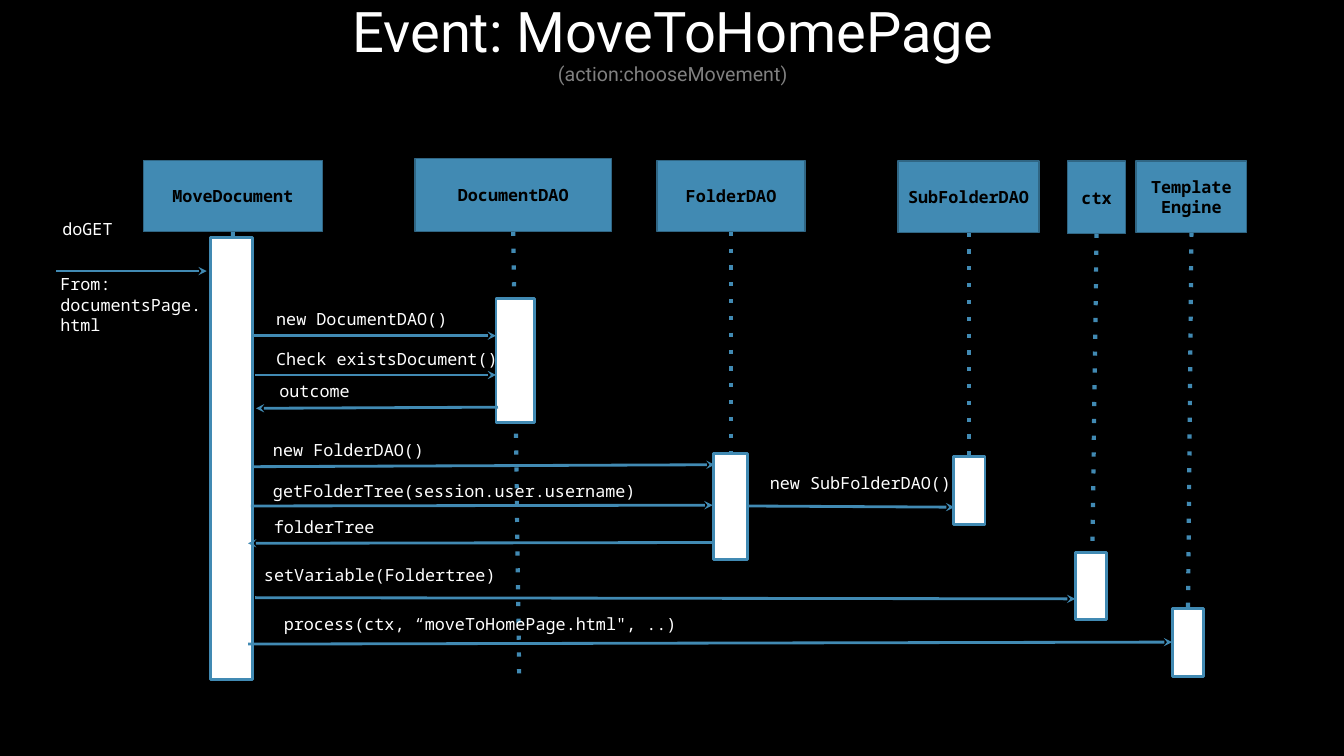
from lxml.etree import SubElement
from pptx import Presentation
from pptx.dml.color import RGBColor
from pptx.enum.shapes import MSO_CONNECTOR as Connector, MSO_SHAPE as Preset
from pptx.enum.text import MSO_ANCHOR as Anchor, MSO_AUTO_SIZE as AutoSize, PP_ALIGN as Align
from pptx.oxml.ns import qn
from pptx.util import Cm, Pt

BLUE, DARK_BLUE = "418AB3", "306684"
BLACK, WHITE, GRAY = "000000", "FFFFFF", "808080"
MONO, SANS = "Noto Sans Mono", "Roboto"
WIDE, NARROW = (0.33, 0.18), (0.25, 0.13)

# name, head box, text inset, lifeline drift and length, bar shift, drop, width and height
PARTICIPANTS = [
    ("MoveDocument", (3.61, 4.04, 4.52, 1.8), WIDE, (-0.08, 10.34), (-0.03, 0.15, 1.07, 11.13)),
    ("DocumentDAO", (10.46, 3.99, 4.95, 1.85), WIDE, (0.15, 11.28), (0.05, 1.68, 0.97, 3.12)),
    ("FolderDAO", (16.56, 4.04, 3.73, 1.8), NARROW, (0, 8.26), (-0.02, 5.59, 0.86, 2.67)),
    ("SubFolderDAO", (22.63, 4.06, 3.56, 1.8), NARROW, (0, 7.35), (0.02, 5.65, 0.79, 1.7)),
    ("ctx", (26.9, 4.06, 1.47, 1.83), NARROW, (-0.13, 9.73), (-0.14, 8.03, 0.79, 1.7)),
    ("Template\vEngine", (28.63, 4.06, 2.79, 1.8), NARROW, (-0.1, 11.16), (-0.09, 9.48, 0.79, 1.7)),
]

MESSAGES = [
    ("doGET", (1.24, 5.33, 3.4, 1.02), WIDE, Align.LEFT, (0.18, 1.5), (3.97, 1.5)),
    ("new DocumentDAO()", (6.63, 7.59, 5.92, 0.91), WIDE, Align.LEFT, (-0.28, 0.87), (5.87, 0.87)),
    ("Check existsDocument()", (6.63, 8.61, 6.88, 0.91), WIDE, Align.LEFT, (-0.2, 0.84), (5.87, 0.84)),
    ("outcome", (6.71, 9.42, 6.45, 0.91), WIDE, Align.LEFT, (5.84, 0.84), (-0.26, 0.87)),
    ("new FolderDAO()", (6.63, 10.95, 6.88, 0.94), NARROW, Align.LEFT, (-0.28, 0.81), (11.38, 0.76)),
    ("getFolderTree(session.user.username)", (6.63, 11.99, 12.22, 0.94), NARROW, Align.LEFT,
     (-0.31, 0.76), (11.33, 0.74)),
    ("folderTree", (6.65, 12.9, 3.91, 0.94), NARROW, Align.LEFT, (11.31, 0.77), (-0.4, 0.79)),
    ("new SubFolderDAO()", (19.15, 11.79, 6.88, 0.58), NARROW, Align.LEFT, (-0.3, 0.96), (4.9, 0.99)),
    ("setVariable(Foldertree)", (5.03, 14.1, 9.09, 0.97), NARROW, Align.CENTER, (1.4, 0.96), (22.07, 0.99)),
    ("process(ctx, “moveToHomePage.html\", ..)", (6.25, 15.34, 11.71, 1.78), NARROW, Align.CENTER,
     (0, 0.89), (23.29, 0.84)),
]


def color(value):
    return RGBColor.from_string(value)


def write(paragraph, text, size=12, font=MONO, fill=WHITE, bold=False, align=Align.LEFT, spacing=1.0):
    paragraph.text = text
    paragraph.alignment = align
    paragraph.line_spacing = spacing
    for run in paragraph.runs:
        run.font.size = Pt(size)
        run.font.name = font
        run.font.bold = bold
        run.font.color.rgb = color(fill)


def prepare_frame(shape, inset, anchor):
    frame = shape.text_frame
    frame.word_wrap = True
    frame.auto_size = AutoSize.NONE
    frame.vertical_anchor = anchor
    frame.margin_left = frame.margin_right = Cm(inset[0])
    frame.margin_top = frame.margin_bottom = Cm(inset[1])
    return frame


def add_box(slide, box, fill, outline, width):
    shape = slide.shapes.add_shape(Preset.RECTANGLE, *map(Cm, box))
    shape.shadow.inherit = False
    shape.fill.solid()
    shape.fill.fore_color.rgb = color(fill)
    shape.line.color.rgb = color(outline)
    shape.line.width = Pt(width)
    return shape


def add_line(slide, start, end, width, tag, **attributes):
    connector = slide.shapes.add_connector(Connector.STRAIGHT, *map(Cm, start + end))
    connector.line.color.rgb = color(BLUE)
    connector.line.width = Pt(width)
    properties = connector.element.spPr
    SubElement(properties.find(qn("a:ln")), qn(tag), attributes)
    SubElement(properties, qn("a:effectLst"))


def add_label(slide, text, box, inset, align):
    label = slide.shapes.add_textbox(*map(Cm, box))
    frame = prepare_frame(label, inset, Anchor.TOP)
    write(frame.paragraphs[0], text, align=align)


def add_title(slide, box):
    title = slide.shapes.title
    title.left, title.top, title.width, title.height = map(Cm, box)
    frame = prepare_frame(title, NARROW, Anchor.MIDDLE)
    heading = {"font": SANS, "align": Align.CENTER, "spacing": 0.9}
    write(frame.paragraphs[0], "Event: MoveToHomePage", size=40, **heading)
    write(frame.add_paragraph(), "(action:chooseMovement)", size=14, fill=GRAY, **heading)


def add_participant(slide, name, box, inset, lifeline, bar):
    left, top, width, height = box
    drift, length = lifeline
    shift, drop, bar_width, bar_height = bar
    center, bottom = left + width / 2, top + height
    head = add_box(slide, box, BLUE, DARK_BLUE, 1)
    frame = prepare_frame(head, inset, Anchor.MIDDLE)
    write(frame.paragraphs[0], name, fill=BLACK, bold=True, align=Align.CENTER)
    add_line(slide, (center, bottom), (center + drift, bottom + length), 3, "a:prstDash", val="dot")
    bar_box = (center + shift - bar_width / 2, bottom + drop, bar_width, bar_height)
    add_box(slide, bar_box, WHITE, BLUE, 2)


def add_message(slide, text, box, inset, align, start, end):
    left, top = box[:2]
    add_line(slide, (left + start[0], top + start[1]), (left + end[0], top + end[1]), 2,
             "a:tailEnd", type="stealth")
    add_label(slide, text, box, inset, align)


def main():
    presentation = Presentation()
    presentation.slide_width, presentation.slide_height = Cm(33.87), Cm(19.05)
    slide = presentation.slides.add_slide(presentation.slide_layouts.get_by_name("Title Only"))
    slide.background.fill.solid()
    slide.background.fill.fore_color.rgb = color(BLACK)
    add_title(slide, (0.94, 0.08, 32.03, 2.11))
    for participant in PARTICIPANTS:
        add_participant(slide, *participant)
    for message in MESSAGES:
        add_message(slide, *message)
    add_label(slide, "From: documentsPage.html", (1.19, 6.73, 4.37, 4.9), WIDE, Align.LEFT)
    presentation.save("out.pptx")


if __name__ == "__main__":
    main()
